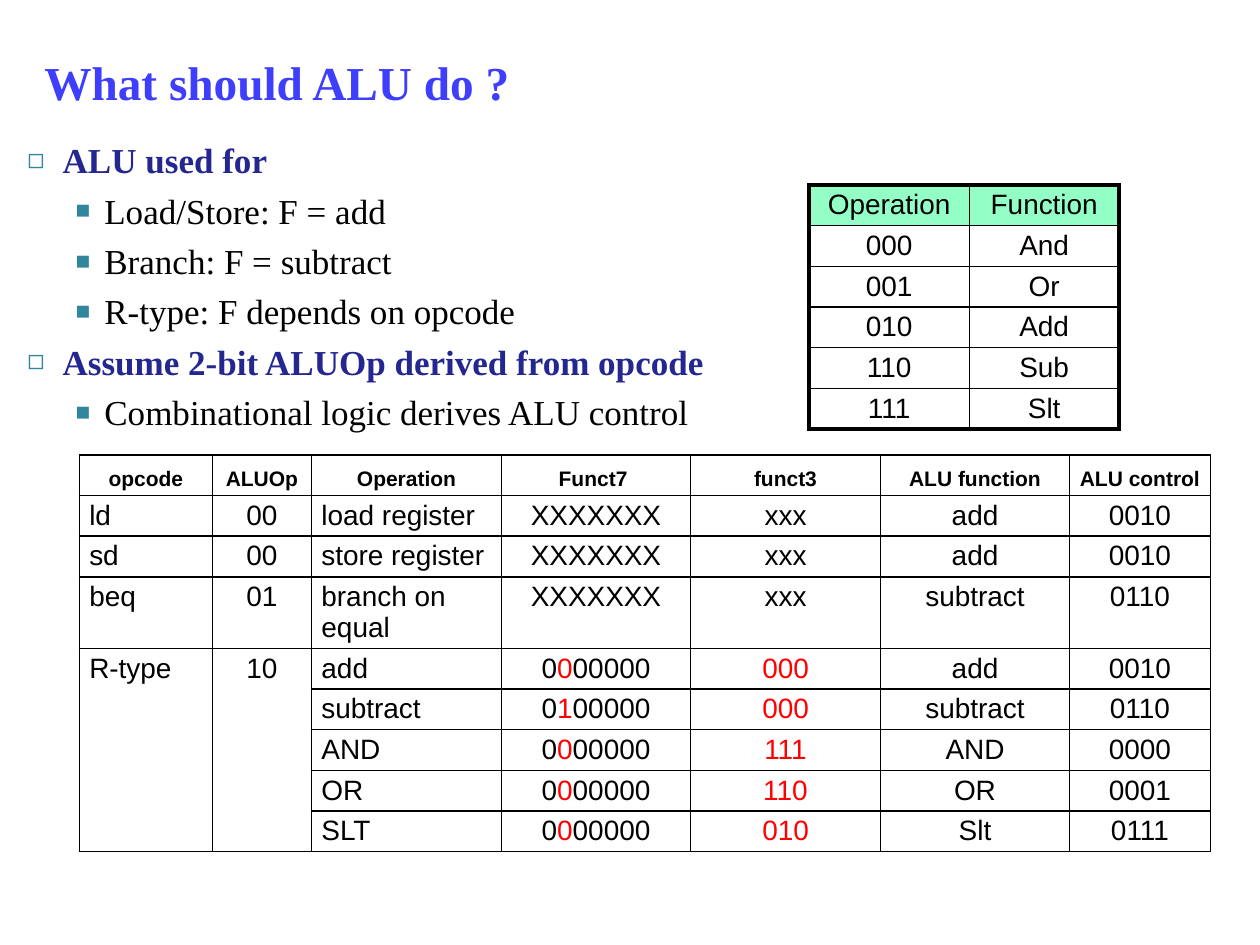
from lxml.etree import SubElement
from pptx import Presentation
from pptx.dml.color import RGBColor
from pptx.enum.text import MSO_ANCHOR, MSO_AUTO_SIZE, PP_ALIGN
from pptx.oxml import parse_xml
from pptx.oxml.ns import nsdecls, qn
from pptx.util import Cm, Pt

BLACK = "000000"
RED = "FF0000"
TEAL = "31859C"
ROW_HEIGHT = 0.82

BULLETS = [
    (0, "ALU used for"),
    (1, "Load/Store: F = add"),
    (1, "Branch: F = subtract"),
    (1, "R-type: F depends on opcode"),
    (0, "Assume 2-bit ALUOp derived from opcode"),
    (1, "Combinational logic derives ALU control"),
]
LEVELS = [
    {"symbol": "◻", "percent": 80, "margin": 0.71, "hanging": 0.71, "color": "242790", "bold": True},
    {"symbol": "■", "percent": 70, "margin": 1.55, "hanging": 0.58, "color": BLACK, "bold": False},
]
FUNCTIONS = [
    ["Operation", "Function"],
    ["000", "And"],
    ["001", "Or"],
    ["010", "Add"],
    ["110", "Sub"],
    ["111", "Slt"],
]
CONTROLS = [
    ["opcode", "ALUOp", "Operation", "Funct7 ", "funct3", "ALU function", "ALU control"],
    ["ld", "00", "load register", "XXXXXXX", "xxx", "add", "0010"],
    ["sd", "00", "store register", "XXXXXXX", "xxx", "add", "0010"],
    ["beq", "01", "branch on equal", "XXXXXXX", "xxx", "subtract", "0110"],
    ["R-type", "10", "add", "0|0|00000", "|000|", "add", "0010"],
    ["", "", "subtract", "0|1|00000", "|000|", "subtract", "0110"],
    ["", "", "AND", "0|0|00000", "|111|", "AND", "0000"],
    ["", "", "OR", "0|0|00000", "|110|", "OR", "0001"],
    ["", "", "SLT", "0|0|00000", "|010|", "Slt", "0111"],
]


def rgb(color):
    return RGBColor.from_string(color)


def set_font(font, name, size, color, bold=False):
    font.name = name
    font.size = Pt(size)
    font.bold = bold
    font.color.rgb = rgb(color)


def place(shape, left, top, width, height):
    shape.left, shape.top = Cm(left), Cm(top)
    shape.width, shape.height = Cm(width), Cm(height)


def add_title(page, text):
    title = page.shapes.title
    place(title, 0.64, 0.33, 21.87, 2.64)
    frame = title.text_frame
    frame.text = text
    frame.auto_size = MSO_AUTO_SIZE.NONE
    frame.vertical_anchor = MSO_ANCHOR.MIDDLE
    paragraph = frame.paragraphs[0]
    paragraph.alignment = PP_ALIGN.LEFT
    set_font(paragraph.font, "Times New Roman", 27, "3E3EFC", True)


def set_bullet(paragraph, level):
    properties = paragraph._p.get_or_add_pPr()
    properties.set("marL", str(Cm(level["margin"])))
    properties.set("indent", str(-Cm(level["hanging"])))
    color = SubElement(properties, qn("a:buClr"))
    SubElement(color, qn("a:srgbClr"), val=TEAL)
    SubElement(properties, qn("a:buSzPct"), val=str(level["percent"] * 1000))
    SubElement(properties, qn("a:buChar"), char=level["symbol"])


def add_bullets(page, items):
    body = page.placeholders[1]
    place(body, 0.3, 2.67, 22.86, 10.28)
    frame = body.text_frame
    frame.text = "\n".join(text for _, text in items)
    frame.auto_size = MSO_AUTO_SIZE.NONE
    for index, (depth, _) in enumerate(items):
        paragraph = frame.paragraphs[index]
        level = LEVELS[depth]
        paragraph.level = depth
        paragraph.space_before = Pt(4.8 if index else 0)
        set_bullet(paragraph, level)
        set_font(paragraph.font, "Times New Roman", 20, level["color"], level["bold"])


def set_borders(cell, widths):
    properties = cell._tc.get_or_add_tcPr()
    for index, (side, width) in enumerate(zip("LRTB", widths)):
        line = parse_xml(
            f'<a:ln{side} {nsdecls("a")} w="{Pt(width)}"><a:solidFill>'
            f'<a:srgbClr val="{BLACK}"/></a:solidFill></a:ln{side}>'
        )
        properties.insert(index, line)


def fill_cell(cell, text, size, bold, alignment, margin):
    cell.margin_left = cell.margin_right = Cm(margin)
    cell.margin_top = cell.margin_bottom = Cm(0.09)
    paragraph = cell.text_frame.paragraphs[0]
    paragraph.alignment = alignment
    set_font(paragraph.font, "Arial", size, BLACK, bold)
    for index, piece in enumerate(text.split("|")):
        if piece:
            span = paragraph.add_run()
            span.text = piece
            if index % 2:
                span.font.color.rgb = rgb(RED)


def add_table(page, rows, left, top, widths, margin, outline=1, left_columns=(),
              header_fill=None, header_size=16, header_bold=False):
    last_row, last_column = len(rows) - 1, len(widths) - 1
    frame = page.shapes.add_table(len(rows), len(widths), Cm(left), Cm(top),
                                  Cm(sum(widths)), Cm(ROW_HEIGHT * len(rows)))
    table = frame.table
    table.first_row = table.horz_banding = False
    for column, width in zip(table.columns, widths):
        column.width = Cm(width)
    for y, row in enumerate(rows):
        table.rows[y].height = Cm(ROW_HEIGHT)
        for x, text in enumerate(row):
            cell = table.cell(y, x)
            header = y == 0
            alignment = PP_ALIGN.LEFT if x in left_columns and not header else PP_ALIGN.CENTER
            fill_cell(cell, text, header_size if header else 16,
                      header and header_bold, alignment, margin)
            if header and header_fill:
                cell.fill.solid()
                cell.fill.fore_color.rgb = rgb(header_fill)
            else:
                cell.fill.background()
            edges = (x == 0, x == last_column, y == 0, y == last_row)
            set_borders(cell, [outline if edge else 1 for edge in edges])
    return table


def main():
    deck = Presentation()
    deck.slide_width, deck.slide_height = Cm(25.4), Cm(19.05)
    page = deck.slides.add_slide(deck.slide_layouts[1])
    add_title(page, "What should ALU do ?")
    add_bullets(page, BULLETS)
    add_table(page, FUNCTIONS, 16.31, 3.73, [3.23, 3.02], 0.18,
              outline=2.25, header_fill="93FFC6")
    controls = add_table(page, CONTROLS, 1.6, 9.17,
                         [2.68, 2, 3.83, 3.81, 3.83, 3.81, 2.84], 0.2,
                         left_columns=(0, 2), header_size=12, header_bold=True)
    for cell in controls.rows[0].cells:
        cell.vertical_anchor = MSO_ANCHOR.BOTTOM
    controls.rows[3].height = Cm(1.44)
    for x in range(2):
        controls.cell(4, x).merge(controls.cell(8, x))
    deck.save("out.pptx")


if __name__ == "__main__":
    main()
